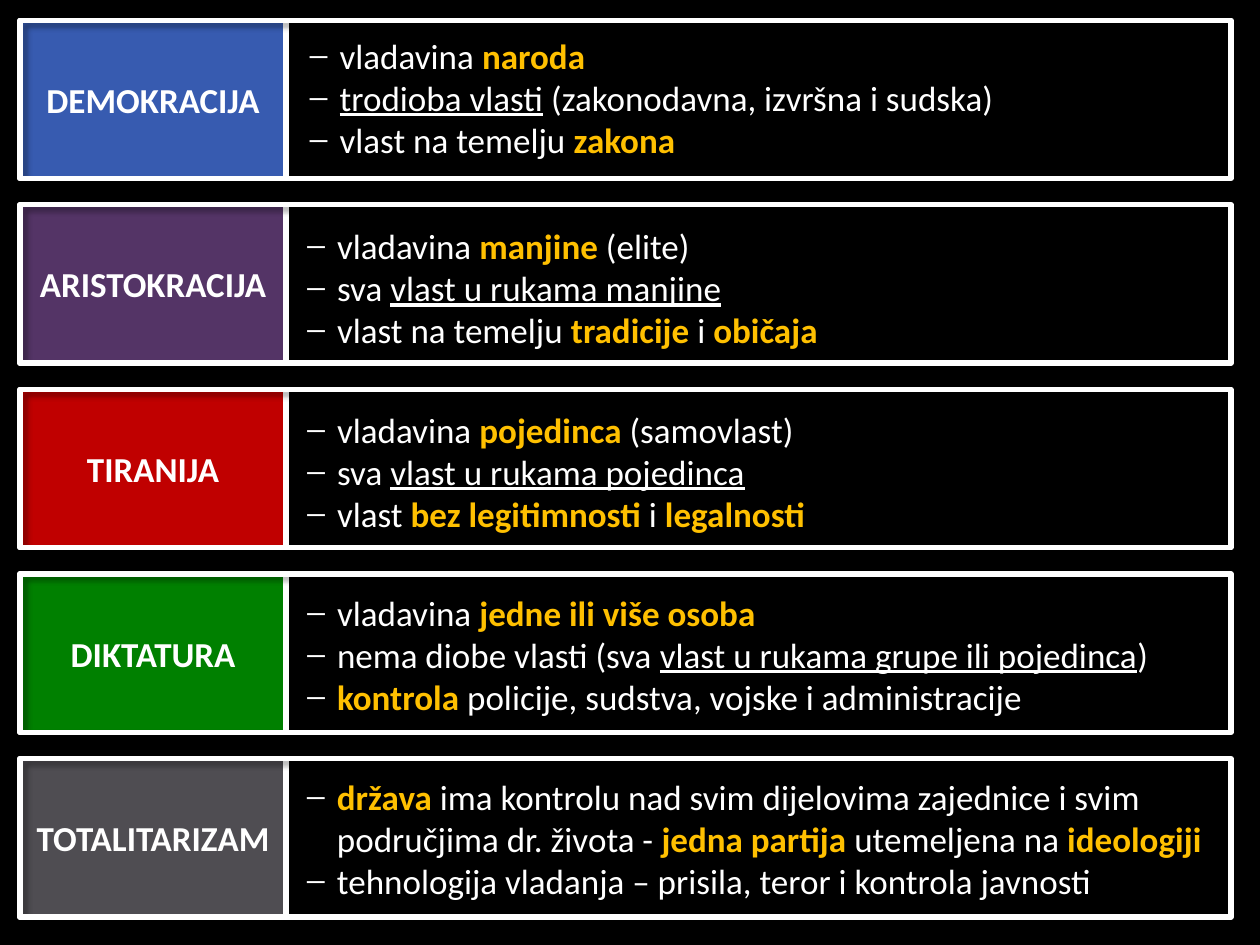
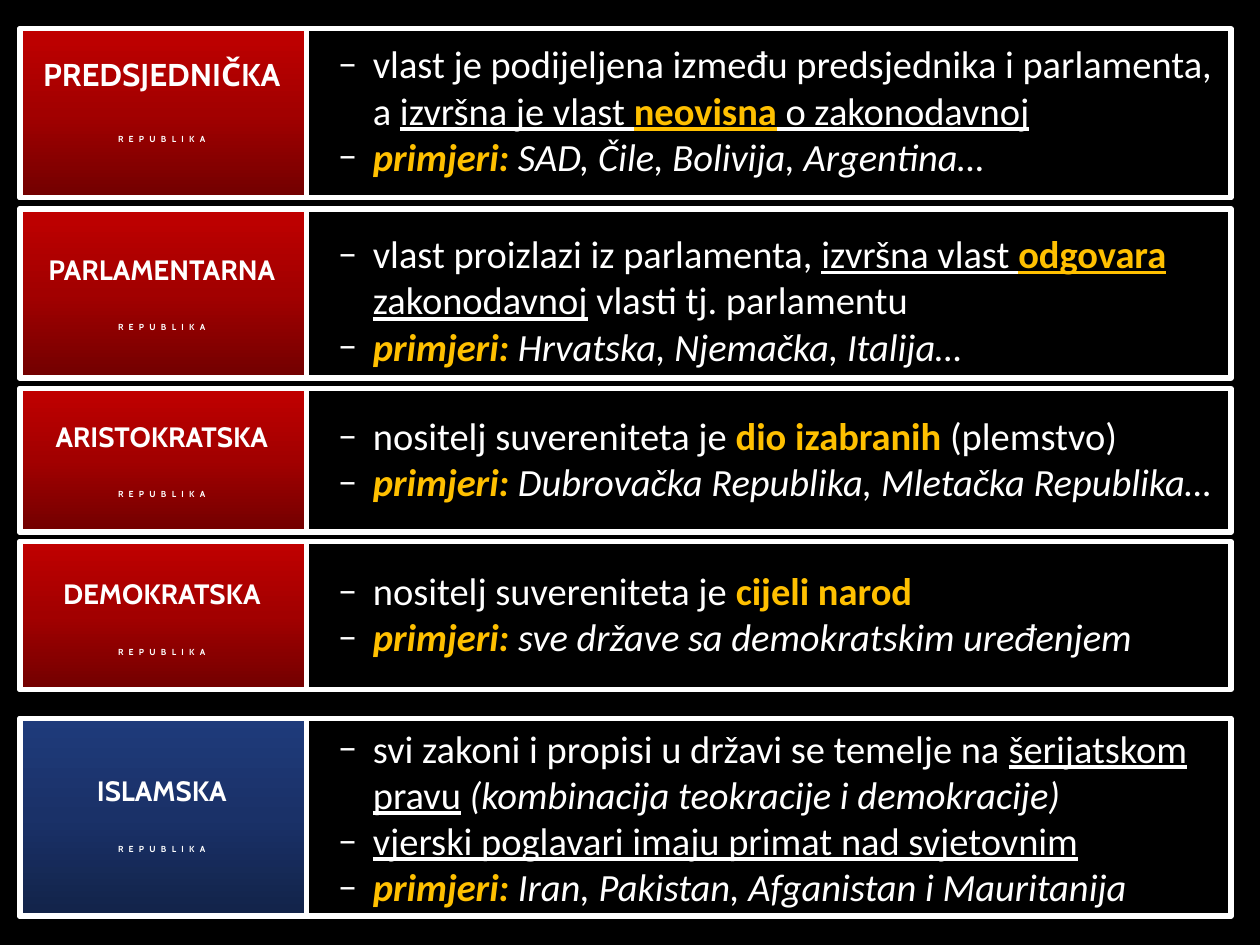
import pptx
import pptx.util
import pptx.dml.color
import pptx.enum.shapes
import pptx.enum.text
import pptx.oxml
import pptx.oxml.ns
from lxml import etree

Pt = pptx.util.Pt
qn = pptx.oxml.ns.qn
RECTANGLE = pptx.enum.shapes.MSO_SHAPE.RECTANGLE
ANCHOR = pptx.enum.text.MSO_ANCHOR
CENTER = pptx.enum.text.PP_ALIGN.CENTER

COLORS = {
    "black": "000000", "white": "FFFFFF", "gold": "FFC000",
    "blue": "375BB0", "purple": "543466", "red": "C00000",
    "green": "008000", "gray": "4F4D52",
}
GRADIENTS = {
    "red": ("720000", "A20000", "C00000"),
    "navy": ("122349", "1A3168", "1F3B7B"),
}
# In the texts: *gold bold*, _underlined_, ~italic~
MARKS = {"*": "gold", "_": "underline", "~": "italic"}

REGIMES = [
    {"name": "DEMOKRACIJA", "fill": "blue", "at": (170, 6.5, 538.5), "points": [
        "vladavina *naroda*",
        "_trodioba vlasti_ (zakonodavna, izvršna i sudska)",
        "vlast na temelju *zakona*"]},
    {"name": "ARISTOKRACIJA", "fill": "purple", "at": (168.5, 7.75, 538.5), "points": [
        "vladavina *manjine* (elite)",
        "sva _vlast u rukama manjine_",
        "vlast na temelju *tradicije* i *običaja*"]},
    {"name": "TIRANIJA", "fill": "red", "at": (168.5, 7.25, 538.5), "points": [
        "vladavina *pojedinca* (samovlast)",
        "sva _vlast u rukama pojedinca_",
        "vlast *bez legitimnosti *i *legalnosti*"]},
    {"name": "DIKTATURA", "fill": "green", "at": (168.5, 6.25, 538.5), "points": [
        "vladavina *jedne ili više osoba*",
        "nema diobe vlasti (sva _vlast u rukama grupe ili pojedinca_)",
        "*kontrola* policije, sudstva, vojske i administracije"]},
    {"name": "TOTALITARIZAM", "fill": "gray", "at": (168.5, 6, 551.5), "points": [
        "*država* ima kontrolu nad svim dijelovima zajednice i svim područjima "
        "dr. života - *jedna partija *utemeljena na *ideologiji*",
        "tehnologija vladanja – prisila, teror i kontrola javnosti"]},
]
REPUBLICS = [
    {"name": "PREDSJEDNIČKA", "fill": "red", "size": 18, "row": (16.5, 96.5),
     "name_top": 28, "text": (19.5, 517.5, 87), "points": [
        "vlast je podijeljena između predsjednika i parlamenta, a "
        "_izvršna je vlast *neovisna* o zakonodavnoj_",
        "~*primjeri: *SAD, Čile, Bolivija, Argentina…~"]},
    {"name": "PARLAMENTARNA", "fill": "red", "size": 16, "row": (119.5, 96.5),
     "name_top": 140.5, "text": (128, 517.5, 87), "points": [
        "vlast proizlazi iz parlamenta, _izvršna vlast *odgovara* zakonodavnoj_ "
        "vlasti tj. parlamentu",
        "~*primjeri: *Hrvatska, Njemačka, Italija…~"]},
    {"name": "ARISTOKRATSKA", "fill": "red", "size": 16, "row": (222, 82),
     "name_top": 236, "text": (232, 517.5, 60.5), "points": [
        "nositelj suvereniteta je *dio izabranih *(plemstvo)",
        "~*primjeri: *Dubrovačka Republika, Mletačka Republika…~"]},
    {"name": "DEMOKRATSKA", "fill": "red", "size": 16, "row": (309.5, 84.5),
     "name_top": 326, "text": (320.5, 506, 60.5), "points": [
        "nositelj suvereniteta je *cijeli narod*",
        "~*primjeri: *sve države sa demokratskim uređenjem~"]},
    {"name": "ISLAMSKA", "fill": "navy", "size": 16, "row": (410.5, 113),
     "name_top": 438.5, "text": (410.5, 512, 113.5), "points": [
        "svi zakoni i propisi u državi se temelje na _šerijatskom pravu_ "
        "~(kombinacija teokracije i demokracije)~",
        "_vjerski poglavari imaju primat nad svjetovnim_",
        "~*primjeri: *Iran, Pakistan, Afganistan i Mauritanija~"]},
]
ROW_LEFT, ROW_WIDTH = 11.5, 692
REGIME_TOP, REGIME_HEIGHT, REGIME_STEP = 11.5, 90.5, 105.5
REGIME_LABEL_WIDTH, REPUBLIC_LABEL_WIDTH = 152, 163.5


def rgb(name):
    return pptx.dml.color.RGBColor.from_string(COLORS[name])


def child(parent, tag, **attributes):
    return etree.SubElement(parent, qn(tag), **attributes)


def style(span, size, font, color="white", bold=False):
    span.font.size = Pt(size)
    span.font.name = font
    span.font.color.rgb = rgb(color)
    span.font.bold = bold


def add_shadow(box):
    effects = box.element.spPr.find(qn("a:effectLst"))
    shadow = child(effects, "a:outerShdw", blurRad=str(Pt(4)), dist=str(Pt(3)),
                   dir="2700000", algn="tl", rotWithShape="0")
    black = child(shadow, "a:srgbClr", val=COLORS["black"])
    child(black, "a:alpha", val="40000")


def add_frame(shapes, left, top, width, height, shadow=False):
    box = shapes.add_shape(RECTANGLE, Pt(left), Pt(top), Pt(width), Pt(height))
    box.shadow.inherit = False
    box.fill.background()
    box.line.color.rgb = rgb("white")
    box.line.width = Pt(3)
    if shadow:
        add_shadow(box)
    return box


def fill_gradient(box, stops):
    box.fill.gradient()
    box.fill.gradient_angle = 90
    stop_list = box.element.spPr.find(".//" + qn("a:gsLst"))
    for old in list(stop_list):
        stop_list.remove(old)
    for position, color in zip((0, 50000, 100000), stops):
        child(child(stop_list, "a:gs", pos=str(position)), "a:srgbClr", val=color)


def add_text_box(shapes, left, top, width, height):
    box = shapes.add_textbox(Pt(left), Pt(top), Pt(width), Pt(height))
    box.text_frame.word_wrap = True
    return box


def add_marked_spans(para, markup, size):
    active = set()
    pending = ""
    for symbol in markup + "\n":
        if symbol not in MARKS and symbol != "\n":
            pending += symbol
            continue
        if pending:
            span = para.add_run()
            span.text = pending
            gold = "gold" in active
            style(span, size, "Calibri", "gold" if gold else "white", gold)
            span.font.underline = "underline" in active
            span.font.italic = "italic" in active
            pending = ""
        if symbol in MARKS:
            active ^= {MARKS[symbol]}


def add_points(page, points, place, size, dash, indent):
    box = add_text_box(page.shapes, *place)
    box.text_frame.auto_size = pptx.enum.text.MSO_AUTO_SIZE.SHAPE_TO_FIT_TEXT
    for index, markup in enumerate(points):
        para = box.text_frame.paragraphs[0] if index == 0 else box.text_frame.add_paragraph()
        properties = para._p.get_or_add_pPr()
        properties.set("marL", str(Pt(indent)))
        properties.set("indent", str(-Pt(indent)))
        child(child(properties, "a:buClr"), "a:srgbClr", val=COLORS["white"])
        child(properties, "a:buFont", typeface="Calibri")
        child(properties, "a:buChar", char=dash)
        add_marked_spans(para, markup, size)
    return box


def write_label(box, text, size, font):
    box.text_frame.text = text
    para = box.text_frame.paragraphs[0]
    para.alignment = CENTER
    style(para.runs[0], size, font, bold=True)
    return para.runs[0]


def add_page(deck):
    page = deck.slides.add_slide(deck.slide_layouts[6])
    page.background.fill.solid()
    page.background.fill.fore_color.rgb = rgb("black")
    return page


def build_regimes(page):
    for index, regime in enumerate(REGIMES):
        top = REGIME_TOP + index * REGIME_STEP
        label = add_frame(page.shapes, ROW_LEFT, top, REGIME_LABEL_WIDTH, REGIME_HEIGHT, True)
        label.fill.solid()
        label.fill.fore_color.rgb = rgb(regime["fill"])
        label.text_frame.vertical_anchor = ANCHOR.MIDDLE
        write_label(label, regime["name"], 20, "Calibri")
        left, offset, width = regime["at"]
        box = add_points(page, regime["points"], (left, top + offset, width, 75), 20, "─", 17)
        if index == 0:
            box.text_frame.vertical_anchor = ANCHOR.MIDDLE
        add_frame(page.shapes, ROW_LEFT, top, ROW_WIDTH, REGIME_HEIGHT, True)


def build_republics(page):
    for republic in REPUBLICS:
        top, height = republic["row"]
        add_frame(page.shapes, ROW_LEFT, top, ROW_WIDTH, height)
        text_top, text_width, text_height = republic["text"]
        add_points(page, republic["points"], (186, text_top, text_width, text_height), 22, "‒", 20)
        group = page.shapes.add_group_shape()
        label = add_frame(group.shapes, ROW_LEFT, top, REPUBLIC_LABEL_WIDTH, height)
        fill_gradient(label, GRADIENTS[republic["fill"]])
        name_top, name_height = republic["name_top"], 2.5 * republic["size"] - 6
        name = add_text_box(group.shapes, 16.5, name_top, 152, name_height)
        write_label(name, republic["name"], republic["size"], "Cabin")
        caption = add_text_box(group.shapes, 16.5, name_top + name_height + 6, 152, 17)
        span = write_label(caption, "REPUBLIKA", 5, "Cabin")
        span._r.get_or_add_rPr().set("spc", "300")


def main():
    deck = pptx.Presentation()
    deck.slide_width, deck.slide_height = Pt(720), Pt(540)
    build_regimes(add_page(deck))
    build_republics(add_page(deck))
    deck.save("out.pptx")


if __name__ == "__main__":
    main()
